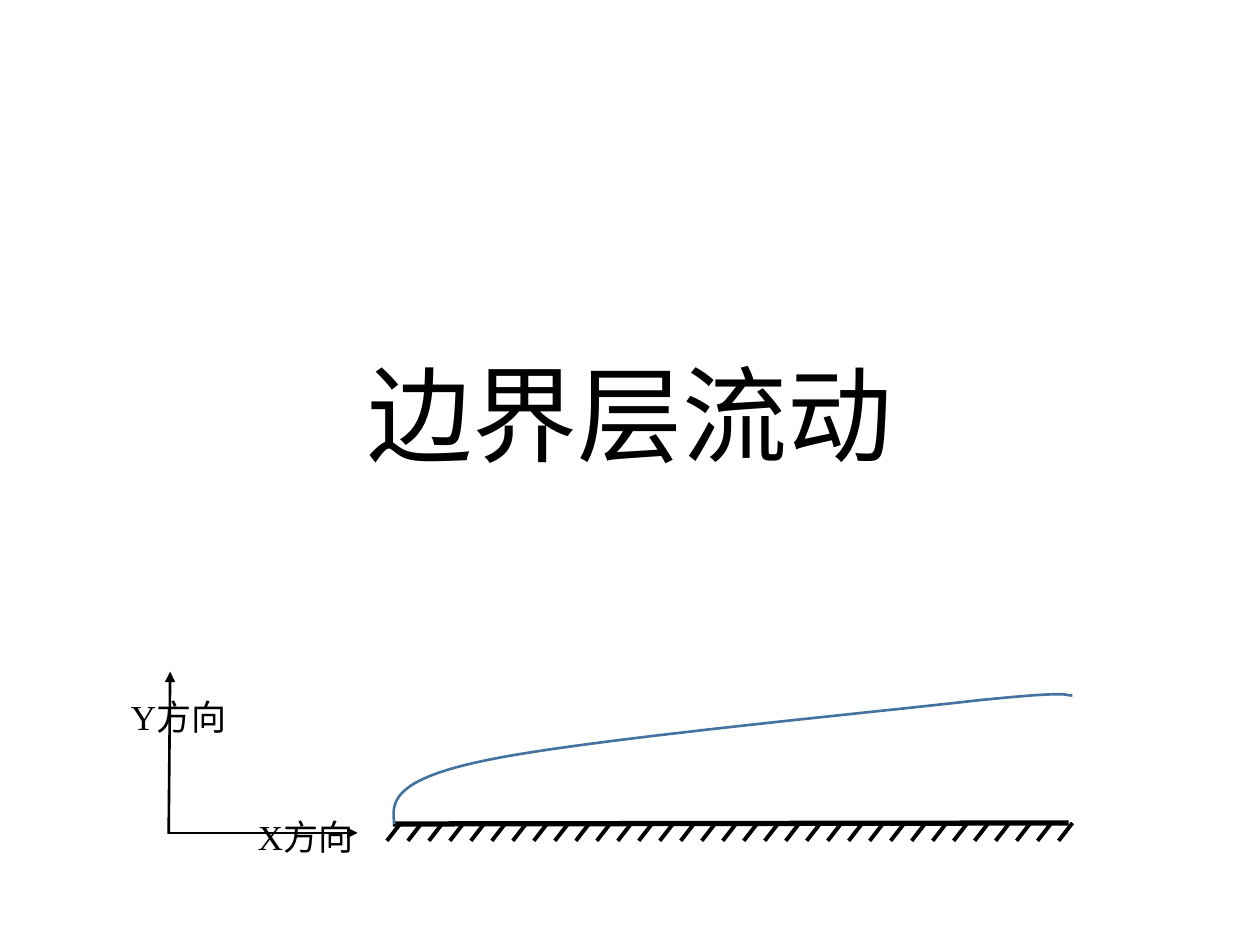
import pptx
import pptx.dml.color
import pptx.enum.shapes
import pptx.enum.text
import pptx.oxml.ns
import pptx.util
from lxml import etree
from pptx.util import Cm

BLACK = pptx.dml.color.RGBColor(0x00, 0x00, 0x00)
BLUE = pptx.dml.color.RGBColor(0x43, 0x73, 0x9E)

# All lengths are in centimetres.
TITLE = "边界层流动"
TITLE_BOX = (1.91, 3.12, 21.59, 6.63)
AXES = [((3.43, 16.79), (7.21, 16.79)), ((3.4, 16.81), (3.43, 13.54))]
AXIS_LABELS = [("X方向", 4.95, 16.31), ("Y方向", 2.39, 13.89)]
LABEL_SIZE = (2.54, 1.12)

WALL = ((7.92, 16.61), (21.54, 16.59))
HATCH_COUNT = 33
HATCH_FIRST, HATCH_LAST = 8.08, 21.62
HATCH_TOP, HATCH_WIDTH, HATCH_HEIGHT = 16.59, 0.28, 0.36

LAYER_START = (7.95, 16.61)
LAYER_CURVES = [  # two control points and an end point each
    ((7.9, 16.18), (7.87, 15.72), (9.83, 15.32)),
    ((11.79, 14.91), (17.73, 14.35), (19.69, 14.12)),
    ((21.67, 13.92), (21.41, 14.02), (21.62, 14.02)),
]
CURVE_STEPS = 24


def add_line(slide, start, end, width, arrow=False):
    line = slide.shapes.add_connector(
        pptx.enum.shapes.MSO_CONNECTOR.STRAIGHT,
        *(Cm(length) for length in start + end))
    line.line.color.rgb = BLACK
    line.line.width = pptx.util.Pt(width)
    if arrow:
        etree.SubElement(line.line._get_or_add_ln(),
                         pptx.oxml.ns.qn("a:tailEnd"), type="triangle")
    etree.SubElement(line._element.spPr, pptx.oxml.ns.qn("a:effectLst"))


def cubic_points(start, first, second, end):
    """Points along a cubic Bezier curve, without its start."""
    for step in range(1, CURVE_STEPS + 1):
        t = step / CURVE_STEPS
        u = 1 - t
        yield tuple(
            Cm(u**3 * a + 3 * u * u * t * b + 3 * u * t * t * c + t**3 * d)
            for a, b, c, d in zip(start, first, second, end))


def add_title(slide):
    title = slide.shapes.title
    title.left, title.top, title.width, title.height = map(Cm, TITLE_BOX)
    frame = title.text_frame
    frame.text = TITLE
    frame.vertical_anchor = pptx.enum.text.MSO_ANCHOR.BOTTOM
    paragraph = frame.paragraphs[0]
    paragraph.alignment = pptx.enum.text.PP_ALIGN.CENTER
    paragraph.line_spacing = 0.9
    set_font(paragraph, "Calibri", 60)


def set_font(paragraph, name, size):
    paragraph.font.name = name
    paragraph.font.size = pptx.util.Pt(size)
    paragraph.font.color.rgb = BLACK


def add_wall(slide):
    add_line(slide, *WALL, 3)
    gap = (HATCH_LAST - HATCH_FIRST) / (HATCH_COUNT - 1)
    for index in range(HATCH_COUNT):
        x = HATCH_FIRST + index * gap
        add_line(slide, (x, HATCH_TOP),
                 (x - HATCH_WIDTH, HATCH_TOP + HATCH_HEIGHT), 2.25)


def add_boundary_layer(slide):
    builder = slide.shapes.build_freeform(*map(Cm, LAYER_START))
    start = LAYER_START
    for curve in LAYER_CURVES:
        builder.add_line_segments(cubic_points(start, *curve), close=False)
        start = curve[-1]
    layer = builder.convert_to_shape()
    layer.shadow.inherit = False
    layer.fill.background()
    layer.line.color.rgb = BLUE
    layer.line.width = pptx.util.Pt(1.5)


def add_axes(slide):
    for (start, end), (text, left, top) in zip(AXES, AXIS_LABELS):
        add_line(slide, start, end, 1.5, arrow=True)
        label = slide.shapes.add_textbox(
            Cm(left), Cm(top), *map(Cm, LABEL_SIZE))
        frame = label.text_frame
        frame.word_wrap = True
        frame.auto_size = pptx.enum.text.MSO_AUTO_SIZE.SHAPE_TO_FIT_TEXT
        frame.text = text
        set_font(frame.paragraphs[0], "Times New Roman", 20)


def main():
    deck = pptx.Presentation()
    deck.slide_width, deck.slide_height = Cm(25.4), Cm(19.05)
    slide = deck.slides.add_slide(deck.slide_layouts[5])
    add_title(slide)
    add_wall(slide)
    add_boundary_layer(slide)
    add_axes(slide)
    deck.save("out.pptx")


if __name__ == "__main__":
    main()
